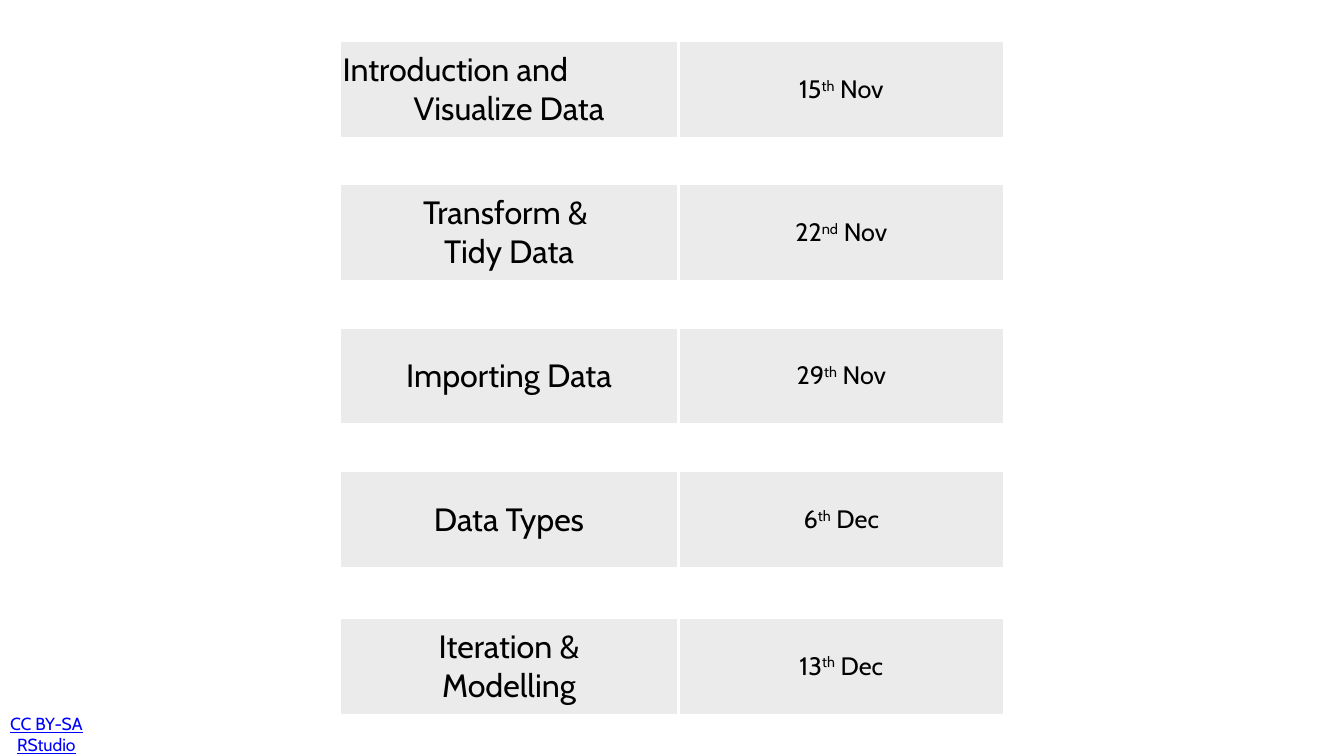
import dataclasses

import lxml.etree
import pptx
import pptx.dml.color
import pptx.enum.text
import pptx.oxml.ns
import pptx.util

Inches = pptx.util.Inches
Align = pptx.enum.text.PP_ALIGN
Anchor = pptx.enum.text.MSO_ANCHOR


@dataclasses.dataclass(frozen=True)
class Theme:
    font: str = "Cabin"
    ink: str = "000000"
    link: str = "0000FF"
    panel: str = "EBEBEB"
    border: str = "FFFFFF"
    border_width: float = 5
    topic_size: int = 46
    date_size: int = 36
    credit_size: int = 25


THEME = Theme()

SESSIONS = [
    ([("Introduction and", Align.LEFT), ("Visualize Data", Align.CENTER)], ("15", "th", " Nov")),
    ([("Transform & ", Align.CENTER), ("Tidy Data", Align.CENTER)], ("22", "nd", " Nov")),
    ([("Importing Data", Align.CENTER)], ("29", "th", " Nov")),
    ([("Data Types", Align.CENTER)], ("6", "th", " Dec")),
    ([("Iteration &", Align.CENTER), ("Modelling", Align.CENTER)], ("13", "th", " Dec")),
]
COLUMN_WIDTHS = [6.72, 6.47]
SESSION_HEIGHT = 1.94
GAP_HEIGHTS = [0.9, 0.9, 0.91, 0.97]


def add_run(paragraph, text, size, color=THEME.ink):
    """Append a run in the slide font and return it."""
    run = paragraph.add_run()
    run.text = text
    run.font.name = THEME.font
    run.font.size = pptx.util.Pt(size)
    run.font.color.rgb = pptx.dml.color.RGBColor.from_string(color)
    return run


def set_borders(cell):
    """Draw the same solid line on all four sides of a cell."""
    properties = cell._tc.get_or_add_tcPr()
    qn = pptx.oxml.ns.qn
    for position, side in enumerate(("lnL", "lnR", "lnT", "lnB")):
        line = lxml.etree.Element(qn(f"a:{side}"), w=str(pptx.util.Pt(THEME.border_width)))
        fill = lxml.etree.SubElement(line, qn("a:solidFill"))
        lxml.etree.SubElement(fill, qn("a:srgbClr"), val=THEME.border)
        properties.insert(position, line)


def style_cell(cell, filled):
    """Set the fill, borders, margins and anchor of a cell."""
    if filled:
        cell.fill.solid()
        cell.fill.fore_color.rgb = pptx.dml.color.RGBColor.from_string(THEME.panel)
    else:
        cell.fill.background()
    set_borders(cell)
    cell.vertical_anchor = Anchor.MIDDLE
    cell.margin_left = cell.margin_right = Inches(0.06)
    cell.margin_top = cell.margin_bottom = Inches(0.06)


def write_topic(cell, lines):
    """Write the session topic, one paragraph per line."""
    frame = cell.text_frame
    for index, (text, alignment) in enumerate(lines):
        paragraph = frame.add_paragraph() if index else frame.paragraphs[0]
        paragraph.alignment = alignment
        add_run(paragraph, text, THEME.topic_size)


def write_date(cell, date):
    """Write the session date with a raised ordinal ending."""
    day, ordinal, month = date
    paragraph = cell.text_frame.paragraphs[0]
    paragraph.alignment = Align.CENTER
    add_run(paragraph, day, THEME.date_size)
    ending = add_run(paragraph, ordinal, THEME.date_size)
    ending._r.get_or_add_rPr().set("baseline", "30000")
    add_run(paragraph, month, THEME.date_size)


def add_schedule(slide):
    """Add the schedule table, with an empty row between sessions."""
    row_count = 2 * len(SESSIONS) - 1
    height = SESSION_HEIGHT * len(SESSIONS) + sum(GAP_HEIGHTS)
    schedule = slide.shapes.add_table(
        row_count, 2, Inches(6.74), Inches(0.81), Inches(sum(COLUMN_WIDTHS)), Inches(height)
    ).table
    schedule.first_row = schedule.horz_banding = False
    for column, width in zip(schedule.columns, COLUMN_WIDTHS):
        column.width = Inches(width)
    for index, row in enumerate(schedule.rows):
        session, is_gap = divmod(index, 2)
        row.height = Inches(GAP_HEIGHTS[session] if is_gap else SESSION_HEIGHT)
        for cell in row.cells:
            style_cell(cell, not is_gap)
        if not is_gap:
            topic, date = SESSIONS[session]
            write_topic(row.cells[0], topic)
            write_date(row.cells[1], date)


def add_credit(slide):
    """Add the underlined licence lines in the bottom left corner."""
    credit = slide.shapes.add_textbox(Inches(0.02), Inches(14.14), Inches(1.8), Inches(0.85))
    frame = credit.text_frame
    frame.word_wrap = True
    frame.vertical_anchor = Anchor.MIDDLE
    frame.margin_left = frame.margin_right = 0
    frame.margin_top = frame.margin_bottom = 0
    paragraph = frame.paragraphs[0]
    paragraph.alignment = Align.CENTER
    add_run(paragraph, "CC BY-SA", THEME.credit_size, THEME.link).font.underline = True
    paragraph.add_line_break()
    add_run(paragraph, "RStudio", THEME.credit_size, THEME.link).font.underline = True


def main():
    """Build the course schedule slide and save it."""
    deck = pptx.Presentation()
    deck.slide_width = Inches(26.67)
    deck.slide_height = Inches(15)
    slide = deck.slides.add_slide(deck.slide_layouts[6])
    add_credit(slide)
    add_schedule(slide)
    deck.save("out.pptx")


if __name__ == "__main__":
    main()
